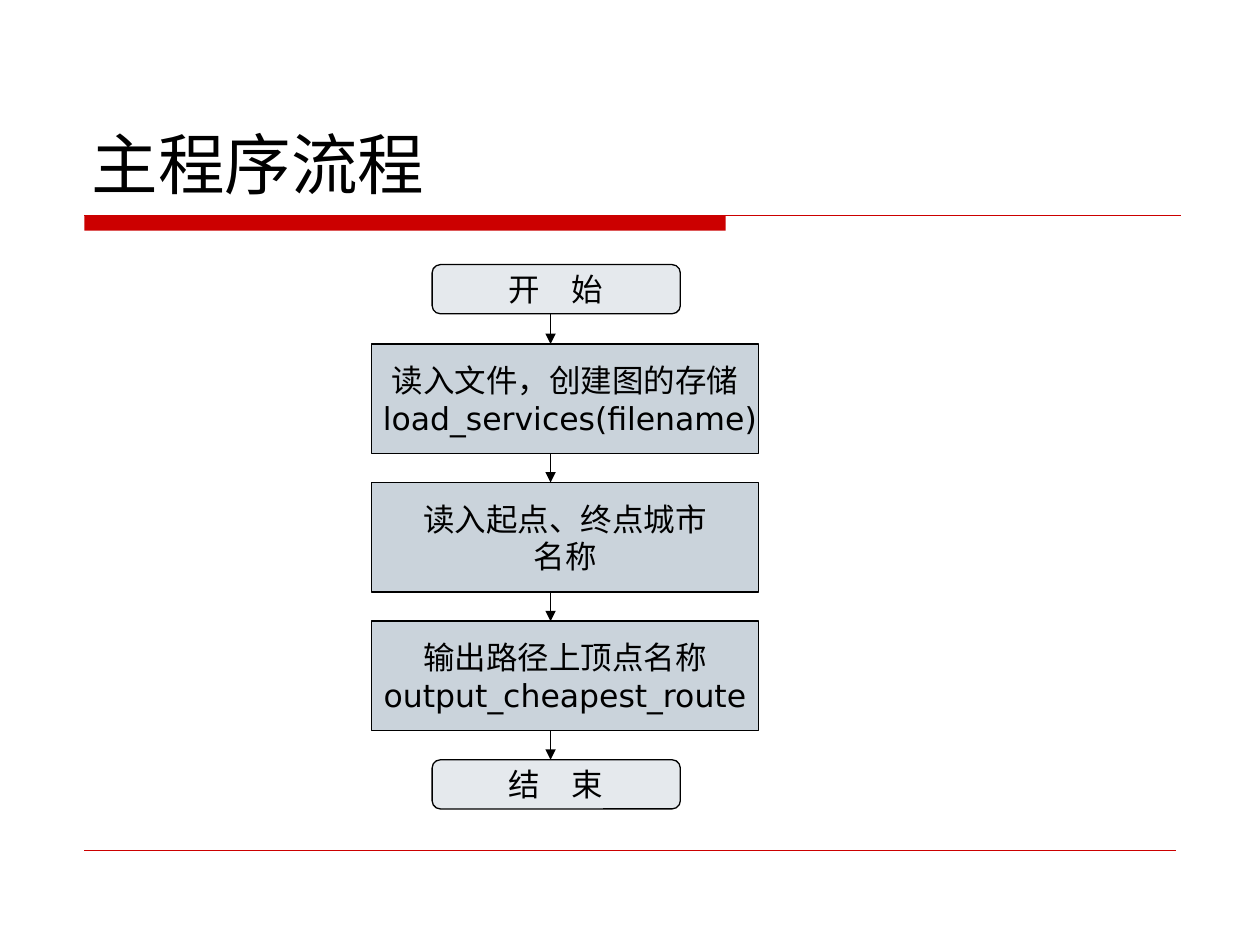
import pptx
import pptx.dml.color
import pptx.enum.shapes
import pptx.enum.text
import pptx.oxml.ns
import pptx.util
from lxml import etree

PX = 9144  # EMU per px, 100 px to the inch
RED = pptx.dml.color.RGBColor(0xCC, 0x00, 0x00)
BLACK = pptx.dml.color.RGBColor(0x00, 0x00, 0x00)
STEEL = pptx.dml.color.RGBColor(0xA3, 0xB2, 0xC1)
FONT = "DejaVu Sans"
SHAPE = pptx.enum.shapes.MSO_SHAPE
ALIGN = pptx.enum.text.PP_ALIGN
ANCHOR = pptx.enum.text.MSO_ANCHOR
qn = pptx.oxml.ns.qn

prs = pptx.Presentation()
prs.slide_width, prs.slide_height = 1000 * PX, 750 * PX
s = prs.slides.add_slide(prs.slide_layouts[6])


def put_text(sp, text, size=18, align=ALIGN.CENTER, anchor=ANCHOR.MIDDLE, wrap=False):
    tf = sp.text_frame
    tf.word_wrap = wrap
    tf.vertical_anchor = anchor
    for i, line in enumerate(text.split("\n")):
        p = tf.paragraphs[0] if i == 0 else tf.add_paragraph()
        p.alignment = align
        r = p.add_run()
        r.text = line
        r.font.name = FONT
        r.font.size = pptx.util.Pt(size)
        r.font.color.rgb = BLACK


def add_line(x1, y1, x2, y2, color, width, arrow=False):
    c = s.shapes.add_connector(pptx.enum.shapes.MSO_CONNECTOR.STRAIGHT,
                               x1 * PX, y1 * PX, x2 * PX, y2 * PX)
    c.line.color.rgb = color
    c.line.width = pptx.util.Pt(width)
    if arrow:
        etree.SubElement(c.line._get_or_add_ln(), qn("a:tailEnd"), type="triangle")
    etree.SubElement(c._element.spPr, qn("a:effectLst"))


# Title rule and footer rule
sp = s.shapes.add_shape(SHAPE.RECTANGLE, 67 * PX, 171 * PX, 509 * PX, 12 * PX)
sp.shadow.inherit = False
sp.fill.solid()
sp.fill.fore_color.rgb = RED
sp.line.fill.background()
add_line(67, 171, 937, 171, RED, 0.75)
add_line(67, 675, 933, 675, RED, 0.25)

# Title
sp = s.shapes.add_textbox(63 * PX, 33 * PX, 875 * PX, 133 * PX)
put_text(sp, "主程序流程", size=38, align=ALIGN.LEFT, anchor=ANCHOR.BOTTOM, wrap=True)

# Flowchart steps: text, top
TERMINAL = (SHAPE.FLOWCHART_ALTERNATE_PROCESS, 343, 197, 39, 28)
PROCESS = (SHAPE.RECTANGLE, 295, 307, 87, 57)
steps = [
    ("开　始", 210, TERMINAL),
    ("读入文件，创建图的存储\n load_services(filename)", 273, PROCESS),
    ("读入起点、终点城市\n名称", 383, PROCESS),
    ("输出路径上顶点名称\noutput_cheapest_route", 493, PROCESS),
    ("结　束", 603, TERMINAL),
]
for text, top, (kind, left, width, height, opacity) in steps:
    sp = s.shapes.add_shape(kind, left * PX, top * PX, width * PX, height * PX)
    sp.shadow.inherit = False
    sp.fill.solid()
    sp.fill.fore_color.rgb = STEEL
    clr = sp._element.spPr.find(qn("a:solidFill")).find(qn("a:srgbClr"))
    etree.SubElement(clr, qn("a:alpha"), val=str(opacity * 1000))
    sp.line.color.rgb = BLACK
    sp.line.width = pptx.util.Pt(0.75)
    put_text(sp, text)

# Arrows between consecutive steps
for (_, top, style), (_, next_top, _) in zip(steps, steps[1:]):
    add_line(437, top + style[3], 437, next_top, BLACK, 0.75, arrow=True)

prs.save("out.pptx")
